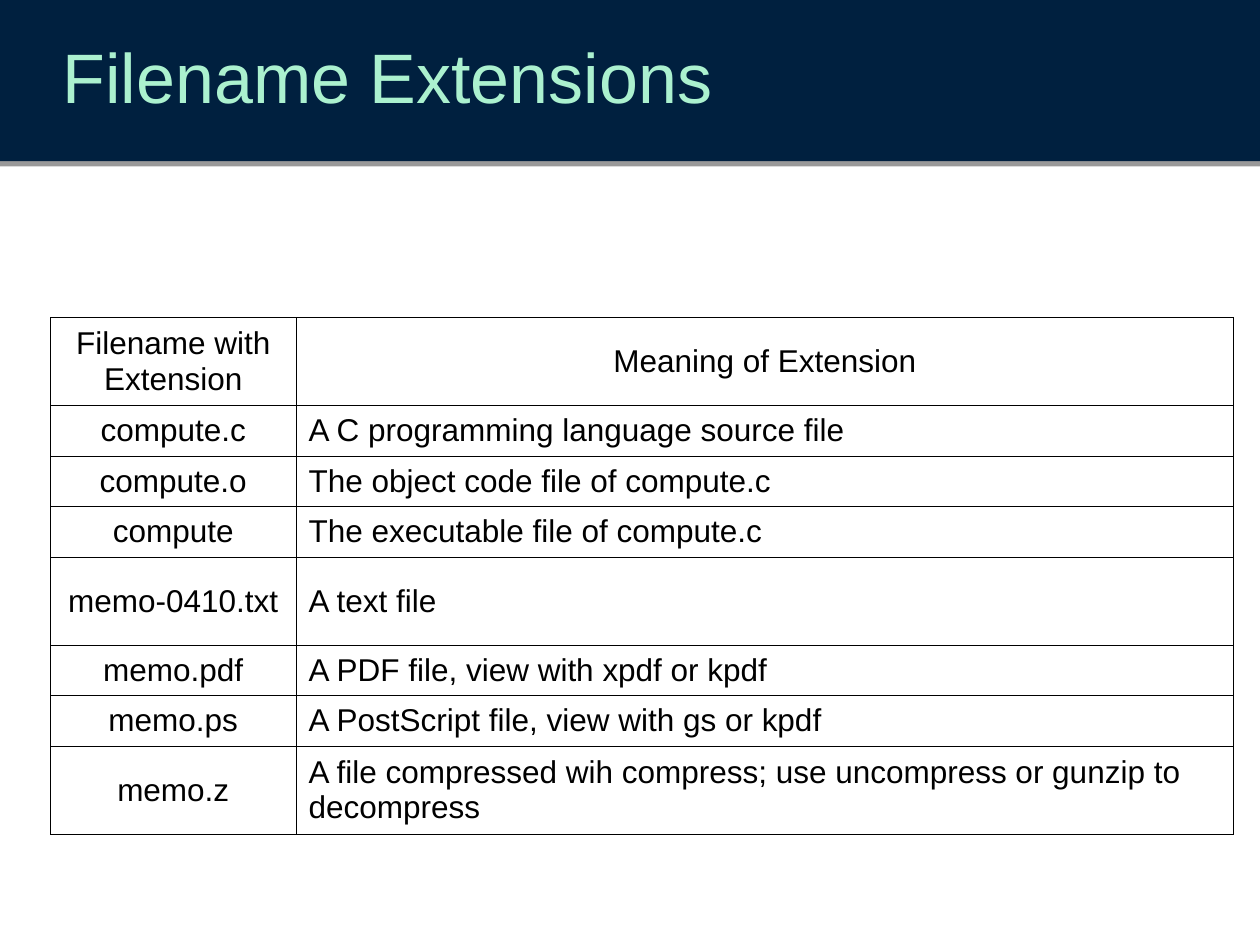
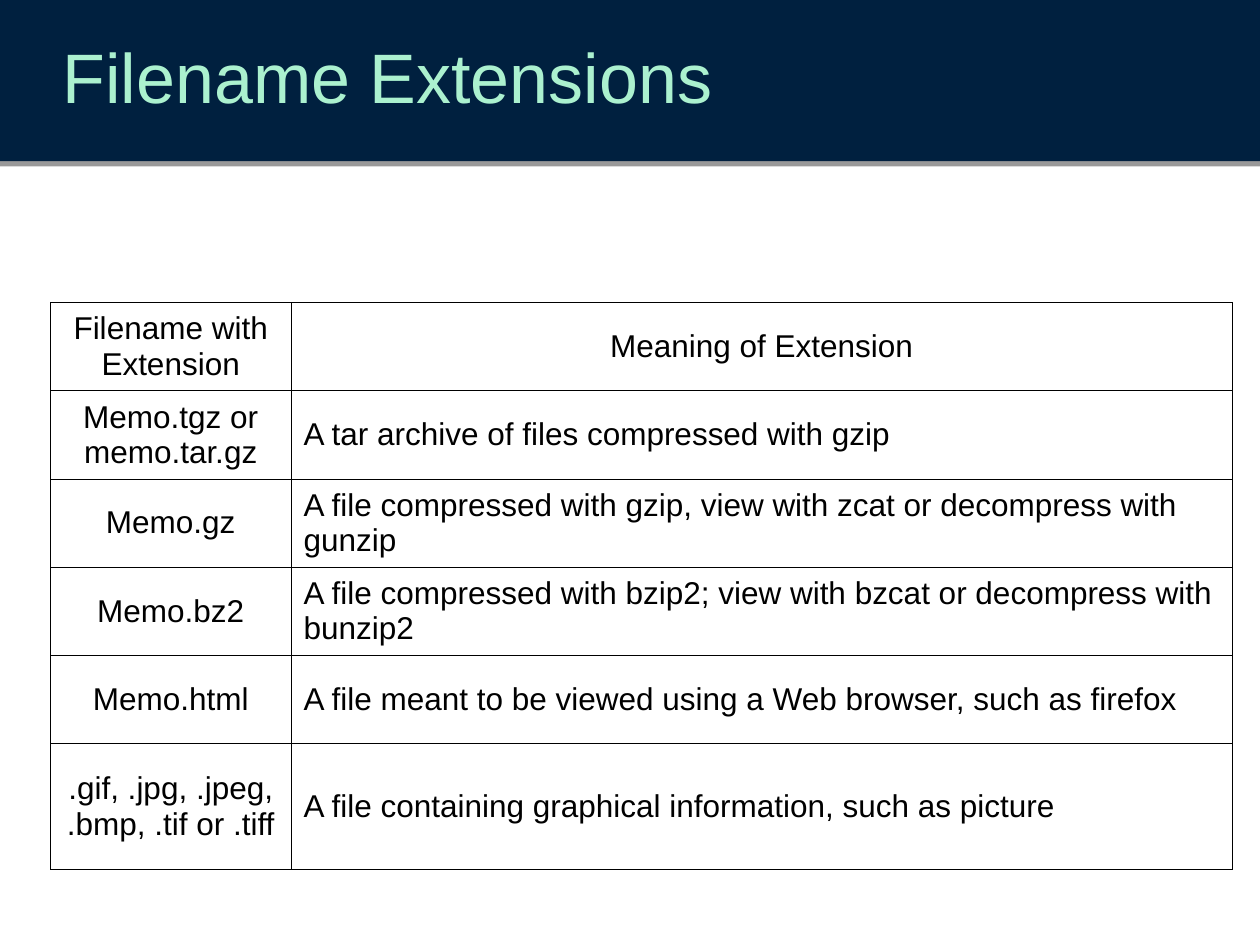
from dataclasses import dataclass

from lxml.etree import SubElement
from pptx import Presentation
from pptx.dml.color import RGBColor
from pptx.enum.shapes import MSO_SHAPE
from pptx.enum.text import MSO_ANCHOR, PP_ALIGN
from pptx.oxml import parse_xml
from pptx.oxml.ns import nsdecls, qn
from pptx.util import Inches, Pt


@dataclass(frozen=True)
class Theme:
    navy: str = "00203F"
    mint: str = "ABF1CF"
    black: str = "000000"
    font: str = "Arial"
    title: int = 40
    body: int = 18
    rule: float = 0.45


THEME = Theme()
LEFT = 0.4
BAND = 1.28
TITLE = "Filename Extensions"
HEAD = ("Filename with Extension", "Meaning of Extension")

# Table contents: file name, meaning, row height
FILES = [
    ("compute.c", "A C programming language source file", 0.4),
    ("compute.o", "The object code file of compute.c", 0.4),
    ("compute", "The executable file of compute.c", 0.4),
    ("memo-0410.txt", "A text file", 0.7),
    ("memo.pdf", "A PDF file, view with xpdf or kpdf", 0.4),
    ("memo.ps", "A PostScript file, view with gs or kpdf", 0.4),
    ("memo.z", "A file compressed wih compress; use uncompress or gunzip "
     "to decompress", 0.7),
]
MEMOS = [
    ("Memo.tgz or memo.tar.gz",
     "A tar archive of files compressed with gzip", 0.7),
    ("Memo.gz", "A file compressed with gzip, view with zcat or decompress "
     "with gunzip", 0.7),
    ("Memo.bz2", "A file compressed with bzip2; view with bzcat or decompress "
     "with bunzip2", 0.7),
    ("Memo.html", "A file meant to be viewed using a Web browser, such as "
     "firefox", 0.7),
    (".gif, .jpg, .jpeg, .bmp, .tif or .tiff",
     "A file containing graphical information, such as picture", 1.0),
]


def add_run(para, text, size, color):
    run = para.add_run()
    run.text = text
    run.font.name = THEME.font
    run.font.size = Pt(size)
    run.font.color.rgb = RGBColor.from_string(color)


def add_band(slide):
    band = slide.shapes.add_shape(
        MSO_SHAPE.RECTANGLE, 0, 0, Inches(10), Inches(BAND))
    band.fill.solid()
    band.fill.fore_color.rgb = RGBColor.from_string(THEME.navy)
    band.line.fill.background()
    # Hard grey edge cast straight down
    band._element.spPr.append(parse_xml(
        f'<a:effectLst {nsdecls("a")}>'
        f'<a:outerShdw blurRad="0" dist="{Pt(3)}" dir="5400000" rotWithShape="0">'
        f'<a:srgbClr val="{THEME.black}"><a:alpha val="40000"/></a:srgbClr>'
        '</a:outerShdw></a:effectLst>'))


def add_title(slide, text):
    box = slide.shapes.add_textbox(
        Inches(LEFT), 0, Inches(9.6), Inches(BAND))
    frame = box.text_frame
    frame.word_wrap = True
    frame.vertical_anchor = MSO_ANCHOR.MIDDLE
    para = frame.paragraphs[0]
    para.line_spacing = 0.9
    para.space_after = Pt(6)
    add_run(para, text, THEME.title, THEME.mint)


def add_rules(cell):
    props = cell._tc.get_or_add_tcPr()
    for side in ("a:lnL", "a:lnR", "a:lnT", "a:lnB"):
        line = SubElement(props, qn(side), w=str(Pt(THEME.rule)))
        fill = SubElement(line, qn("a:solidFill"))
        SubElement(fill, qn("a:srgbClr"), val=THEME.black)


def fill_cell(cell, text, center):
    add_rules(cell)
    cell.fill.background()
    cell.vertical_anchor = MSO_ANCHOR.MIDDLE
    cell.margin_left = cell.margin_right = Inches(0.1)
    cell.margin_top = cell.margin_bottom = Inches(0.05)
    para = cell.text_frame.paragraphs[0]
    para.alignment = PP_ALIGN.CENTER if center else PP_ALIGN.LEFT
    add_run(para, text, THEME.body, THEME.black)


def add_grid(slide, top, widths, items):
    rows = [(*HEAD, 0.7), *items]
    high = sum(row[-1] for row in rows)
    table = slide.shapes.add_table(
        len(rows), len(widths), Inches(LEFT), Inches(top),
        Inches(sum(widths)), Inches(high)).table
    table.first_row = table.horz_banding = False
    for col, width in zip(table.columns, widths):
        col.width = Inches(width)
    for r, (*texts, height) in enumerate(rows):
        table.rows[r].height = Inches(height)
        for c, text in enumerate(texts):
            fill_cell(table.cell(r, c), text, center=r == 0 or c == 0)


def add_page(deck, top, widths, items):
    slide = deck.slides.add_slide(deck.slide_layouts[6])
    add_band(slide)
    add_title(slide, TITLE)
    add_grid(slide, top, widths, items)


def main():
    deck = Presentation()
    deck.slide_width, deck.slide_height = Inches(10), Inches(7.5)
    add_page(deck, 2.52, (1.95, 7.44), FILES)
    add_page(deck, 2.4, (1.91, 7.47), MEMOS)
    deck.save("out.pptx")


if __name__ == "__main__":
    main()
